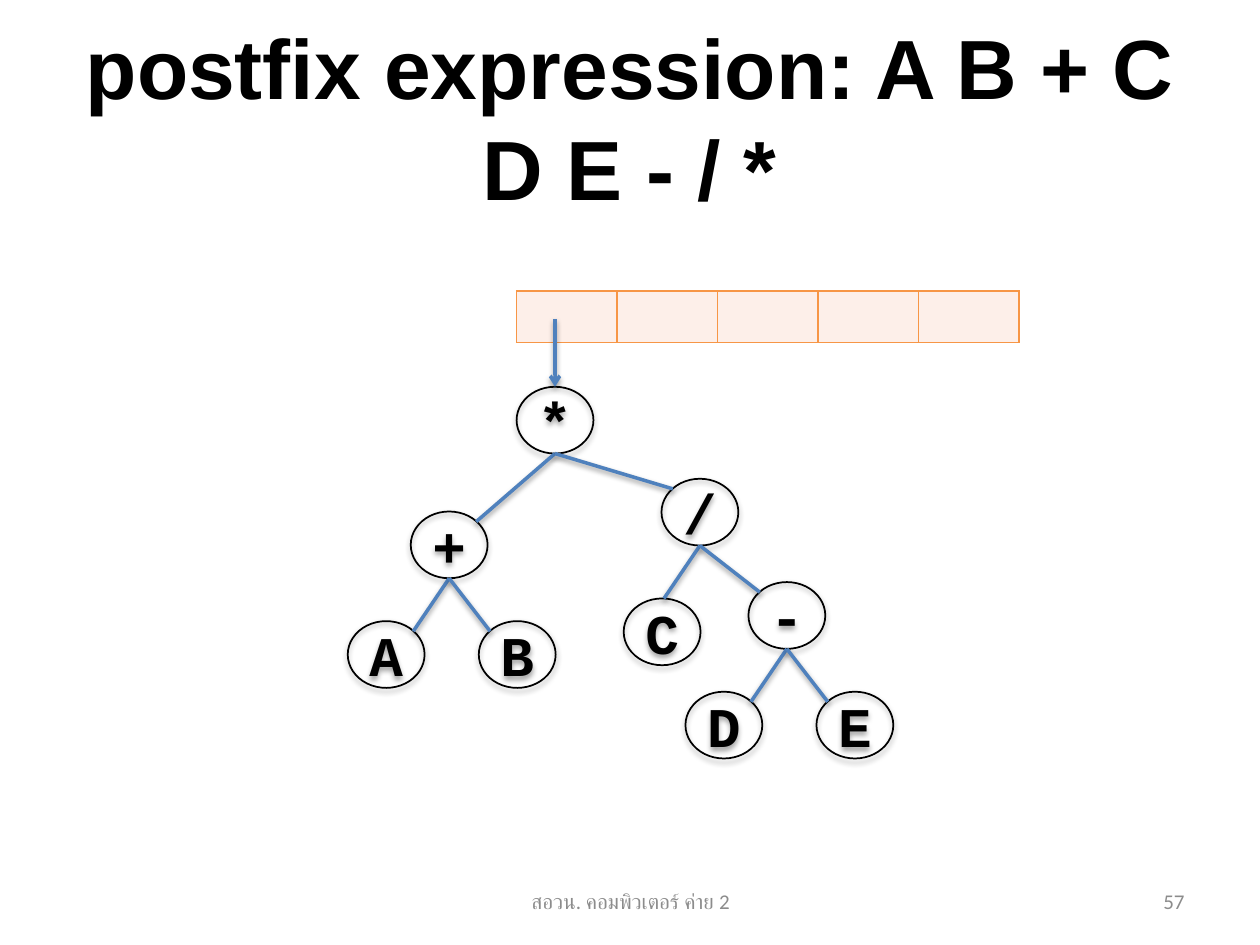
from lxml import etree
from pptx import Presentation
from pptx import util as u
from pptx.dml.color import RGBColor
from pptx.enum import shapes, text
from pptx.oxml import ns

TITLE = "postfix expression: A B + C D E - / *"
FOOTER = "สอวน. คอมพิวเตอร์ ค่าย 2"
PAGE = "57"
NODES = {
    "*": (4.1, 3.07), "+": (3.26, 4.06), "A": (2.76, 4.93), "B": (3.8, 4.93),
    "/": (5.25, 3.8), "C": (4.95, 4.75), "-": (5.94, 4.62),
    "D": (5.44, 5.49), "E": (6.48, 5.49),
}
TOP_LEFT, TOP, TOP_RIGHT = (0.09, 0.08), (0.32, 0), (0.52, 0.08)
EDGES = [
    ("*", "+", TOP_RIGHT), ("*", "/", TOP_LEFT),
    ("+", "A", TOP_RIGHT), ("+", "B", TOP_LEFT),
    ("/", "C", TOP), ("/", "-", TOP_LEFT),
    ("-", "D", TOP_RIGHT), ("-", "E", TOP_LEFT),
]
NODE_W, NODE_H = 0.61, 0.53
STACK_SLOTS = 5
STACK = (4.1, 2.31, 3.99, 0.41)
COLORS = {"ink": "000000", "edge": "4F81BD", "slot": "FDEFE9",
          "slot_line": "F79646", "footer": "8C8C8C"}
ALIGN = text.PP_ALIGN


def rgb(name):
    return RGBColor.from_string(COLORS[name])


def add_child(parent, tag, **attributes):
    child = etree.SubElement(parent, ns.qn(tag))
    for key, value in attributes.items():
        child.set(key, str(value))
    return child


def add_shadow(part, distance, opacity):
    effects = add_child(part._element.spPr, "a:effectLst")
    shadow = add_child(effects, "a:outerShdw", blurRad=40000, dist=distance,
                       dir=5400000, rotWithShape=0)
    color = add_child(shadow, "a:srgbClr", val=COLORS["ink"])
    add_child(color, "a:alpha", val=opacity * 1000)


def write(frame, words, size, font, color="ink", bold=False, align=ALIGN.CENTER):
    frame.word_wrap = True
    frame.vertical_anchor = text.MSO_ANCHOR.MIDDLE
    paragraph = frame.paragraphs[0]
    paragraph.alignment = align
    run = paragraph.add_run()
    run.text = words
    run.font.size = u.Pt(size)
    run.font.name = font
    run.font.bold = bold
    run.font.color.rgb = rgb(color)


def add_label(slide, box, words, **style):
    label = slide.shapes.add_textbox(*map(u.Inches, box))
    write(label.text_frame, words, **style)


def add_edge(slide, start, end, arrow=False):
    edge = slide.shapes.add_connector(
        shapes.MSO_CONNECTOR.STRAIGHT, *map(u.Inches, (*start, *end)))
    edge.line.color.rgb = rgb("edge")
    edge.line.width = u.Pt(2)
    if arrow:
        add_child(edge.line._get_or_add_ln(), "a:tailEnd", type="arrow")
    add_shadow(edge, 20000, 38)


def add_node(slide, symbol, left, top):
    node = slide.shapes.add_shape(
        shapes.MSO_SHAPE.OVAL, *map(u.Inches, (left, top, NODE_W, NODE_H)))
    node.fill.background()
    node.line.color.rgb = rgb("ink")
    node.line.width = u.Pt(1)
    add_shadow(node, 23000, 35)
    frame = node.text_frame
    frame.margin_left = frame.margin_right = 0
    frame.margin_top = frame.margin_bottom = 0
    write(frame, symbol, size=32, font="Courier New", bold=True)


def add_stack(slide):
    stack = slide.shapes.add_table(1, STACK_SLOTS, *map(u.Inches, STACK)).table
    stack.first_row = stack.horz_banding = False
    for slot in stack.iter_cells():
        properties = slot._tc.get_or_add_tcPr()
        for side in ("a:lnL", "a:lnR", "a:lnT", "a:lnB"):
            border = add_child(properties, side, w=u.Pt(1))
            fill = add_child(border, "a:solidFill")
            add_child(fill, "a:srgbClr", val=COLORS["slot_line"])
        slot.fill.solid()
        slot.fill.fore_color.rgb = rgb("slot")


def main():
    deck = Presentation()
    deck.slide_width, deck.slide_height = u.Inches(10), u.Inches(7.5)
    slide = deck.slides.add_slide(deck.slide_layouts[6])

    add_label(slide, (0.5, 0.3, 9, 1.25), TITLE, size=48, font="Arial", bold=True)
    add_stack(slide)
    for symbol, (left, top) in NODES.items():
        add_node(slide, symbol, left, top)
    for parent, child, (dx, dy) in EDGES:
        left, top = NODES[parent]
        child_left, child_top = NODES[child]
        add_edge(slide, (left + NODE_W / 2, top + NODE_H),
                 (child_left + dx, child_top + dy))
    root_left, root_top = NODES["*"]
    root_x = root_left + NODE_W / 2
    add_edge(slide, (root_x, 2.53), (root_x, root_top), arrow=True)

    footer_style = {"size": 12, "font": "Calibri", "color": "footer"}
    add_label(slide, (3.42, 6.95, 3.17, 0.4), FOOTER, **footer_style)
    add_label(slide, (7.17, 6.95, 2.33, 0.4), PAGE, align=ALIGN.RIGHT, **footer_style)
    deck.save("out.pptx")


if __name__ == "__main__":
    main()
